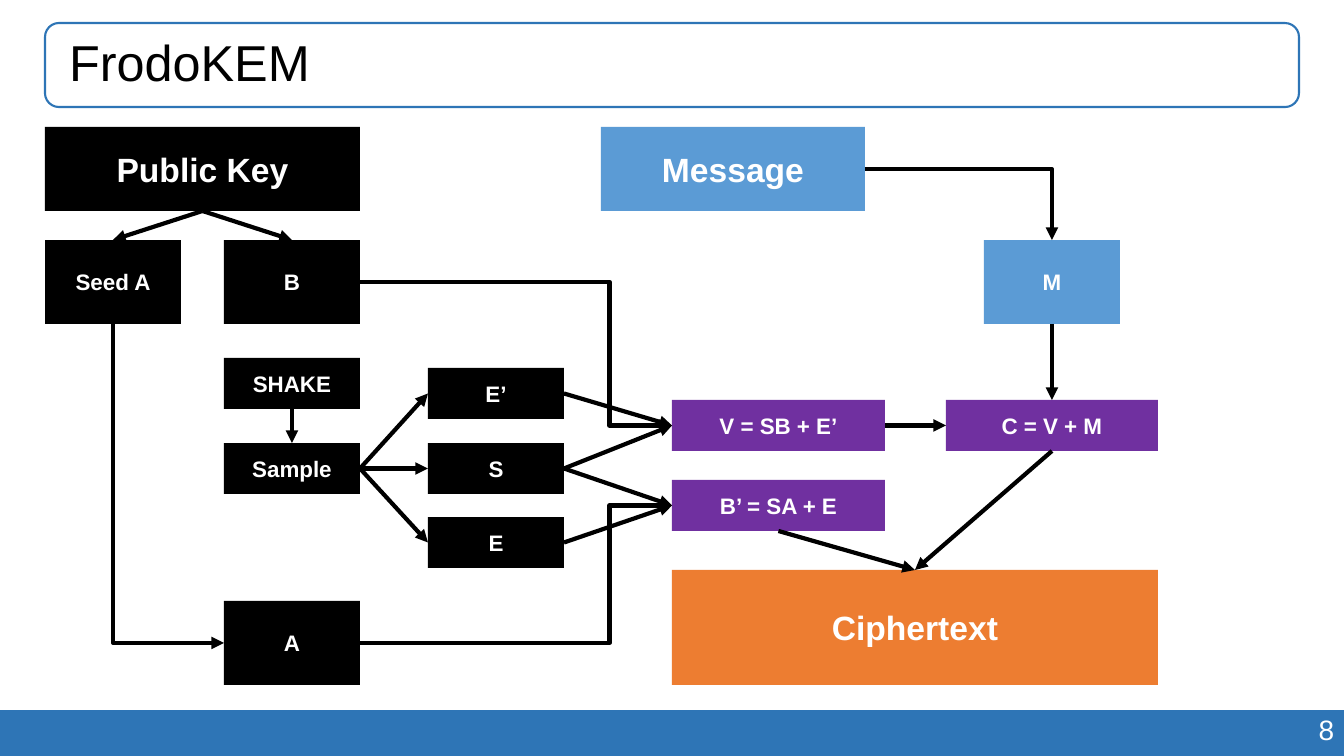
from dataclasses import dataclass

from lxml.etree import SubElement
from pptx import Presentation
from pptx.dml.color import RGBColor
from pptx.enum.shapes import MSO_CONNECTOR, MSO_SHAPE
from pptx.enum.text import MSO_ANCHOR, PP_ALIGN
from pptx.oxml.ns import qn
from pptx.shapes.autoshape import Shape
from pptx.shapes.connector import Connector
from pptx.slide import Slide
from pptx.util import Emu, Pt

BLACK = RGBColor(0x00, 0x00, 0x00)
WHITE = RGBColor(0xFF, 0xFF, 0xFF)
NAVY = RGBColor(0x2E, 0x75, 0xB6)
BLUE = RGBColor(0x5B, 0x9B, 0xD5)
PURPLE = RGBColor(0x70, 0x30, 0xA0)
ORANGE = RGBColor(0xED, 0x7D, 0x31)

WIDE, HIGH = 1344, 756
TOP, LEFT, BOTTOM, RIGHT = range(4)  # connection sites of a rectangle


@dataclass
class Box:
    text: str
    left: int
    top: int
    width: int = 136
    height: int = 51
    fill: RGBColor = BLACK
    size: int = 16


@dataclass
class Link:
    start: str
    out: int
    end: str
    into: int
    bend: str = ""  # "step", "right" then down, or "down" then right


BOXES = [
    Box("Public Key", 45, 127, 315, 84, size=24),
    Box("Seed A", 45, 240, height=84),
    Box("B", 224, 240, height=84),
    Box("A", 224, 601, height=84),
    Box("SHAKE", 224, 358),
    Box("Sample", 224, 443),
    Box("E’", 428, 368),
    Box("S", 428, 443),
    Box("E", 428, 517),
    Box("V = SB + E’", 672, 400, 213, fill=PURPLE),
    Box("B’ = SA + E", 672, 480, 213, fill=PURPLE),
    Box("C = V + M", 946, 400, 212, fill=PURPLE),
    Box("Message", 601, 127, 264, 84, BLUE, 24),
    Box("M", 984, 240, height=84, fill=BLUE),
    Box("Ciphertext", 672, 570, 486, 115, ORANGE, 24),
]

LINKS = [
    Link("Public Key", BOTTOM, "Seed A", TOP),
    Link("Public Key", BOTTOM, "B", TOP),
    Link("SHAKE", BOTTOM, "Sample", TOP),
    Link("Sample", RIGHT, "E’", LEFT),
    Link("Sample", RIGHT, "S", LEFT),
    Link("Sample", RIGHT, "E", LEFT),
    Link("Seed A", BOTTOM, "A", LEFT, "down"),
    Link("A", RIGHT, "B’ = SA + E", LEFT, "step"),
    Link("S", RIGHT, "B’ = SA + E", LEFT),
    Link("E", RIGHT, "B’ = SA + E", LEFT),
    Link("B", RIGHT, "V = SB + E’", LEFT, "step"),
    Link("S", RIGHT, "V = SB + E’", LEFT),
    Link("E’", RIGHT, "V = SB + E’", LEFT),
    Link("V = SB + E’", RIGHT, "C = V + M", LEFT),
    Link("Message", RIGHT, "M", TOP, "right"),
    Link("M", BOTTOM, "C = V + M", TOP),
    Link("B’ = SA + E", BOTTOM, "Ciphertext", TOP),
    Link("C = V + M", BOTTOM, "Ciphertext", TOP),
]


def px(count: int) -> Emu:
    return Emu(round(count * 914400 / 100.8))


def write(shape: Shape, text: str, size: int, color: RGBColor,
          align: PP_ALIGN, bold: bool = False) -> None:
    frame = shape.text_frame
    frame.text = text
    frame.word_wrap = True
    frame.vertical_anchor = MSO_ANCHOR.MIDDLE
    line = frame.paragraphs[0]
    line.alignment = align
    font = line.runs[0].font
    font.name, font.size, font.bold = "Arial", Pt(size), bold
    font.color.rgb = color


def draw_box(slide: Slide, box: Box) -> Shape:
    shape = slide.shapes.add_shape(MSO_SHAPE.RECTANGLE, px(box.left), px(box.top),
                                   px(box.width), px(box.height))
    shape.shadow.inherit = False
    shape.fill.solid()
    shape.fill.fore_color.rgb = box.fill
    shape.line.fill.background()
    if box.text:
        write(shape, box.text, box.size, WHITE, PP_ALIGN.CENTER, True)
    return shape


def turn(line: Connector) -> None:
    """Rotate an elbow so that it leaves downwards."""
    left, top, width, height = line.left, line.top, line.width, line.height
    line.left = left + (width - height) // 2
    line.top = top + (height - width) // 2
    line.width, line.height = height, width
    frame = line._element.spPr.find(qn("a:xfrm"))
    frame.set("rot", "16200000")
    frame.set("flipH", "1")


def draw_link(slide: Slide, link: Link, shapes: dict[str, Shape]) -> None:
    kind = MSO_CONNECTOR.ELBOW if link.bend else MSO_CONNECTOR.STRAIGHT
    line = slide.shapes.add_connector(kind, 0, 0, 0, 0)
    line.begin_connect(shapes[link.start], link.out)
    line.end_connect(shapes[link.end], link.into)
    line.line.color.rgb = BLACK
    line.line.width = Pt(3)
    props = line._element.spPr
    SubElement(props.find(qn("a:ln")), qn("a:tailEnd"), type="triangle")
    SubElement(props, qn("a:effectLst"))
    if link.bend == "step":
        line_geom = props.find(qn("a:prstGeom"))
        guides = line_geom.find(qn("a:avLst"))
        SubElement(guides, qn("a:gd"), name="adj1", fmla="val 80000")
    elif link.bend:
        props.find(qn("a:prstGeom")).set("prst", "bentConnector2")
    if link.bend == "down":
        turn(line)


def draw_frame(slide: Slide) -> None:
    # Footer band and slide number
    draw_box(slide, Box("", 0, 710, WIDE, 46, NAVY))
    number = slide.shapes.add_textbox(px(951), px(707), px(393), px(44))
    write(number, "8", 20, WHITE, PP_ALIGN.RIGHT)

    # Title in a rounded outline
    title = slide.shapes.add_shape(MSO_SHAPE.ROUNDED_RECTANGLE,
                                   px(45), px(23), px(1254), px(84))
    title.shadow.inherit = False
    title.fill.background()
    title.line.color.rgb = NAVY
    title.line.width = Pt(1.5)
    write(title, "FrodoKEM", 36, BLACK, PP_ALIGN.LEFT)
    title.text_frame.margin_left = px(20)
    title.text_frame.paragraphs[0].line_spacing = 0.9


def main() -> None:
    deck = Presentation()
    deck.slide_width, deck.slide_height = px(WIDE), px(HIGH)
    slide = deck.slides.add_slide(deck.slide_layouts[6])
    draw_frame(slide)

    # Flow chart
    shapes = {box.text: draw_box(slide, box) for box in BOXES}
    for link in LINKS:
        draw_link(slide, link, shapes)
    deck.save("out.pptx")


if __name__ == "__main__":
    main()
